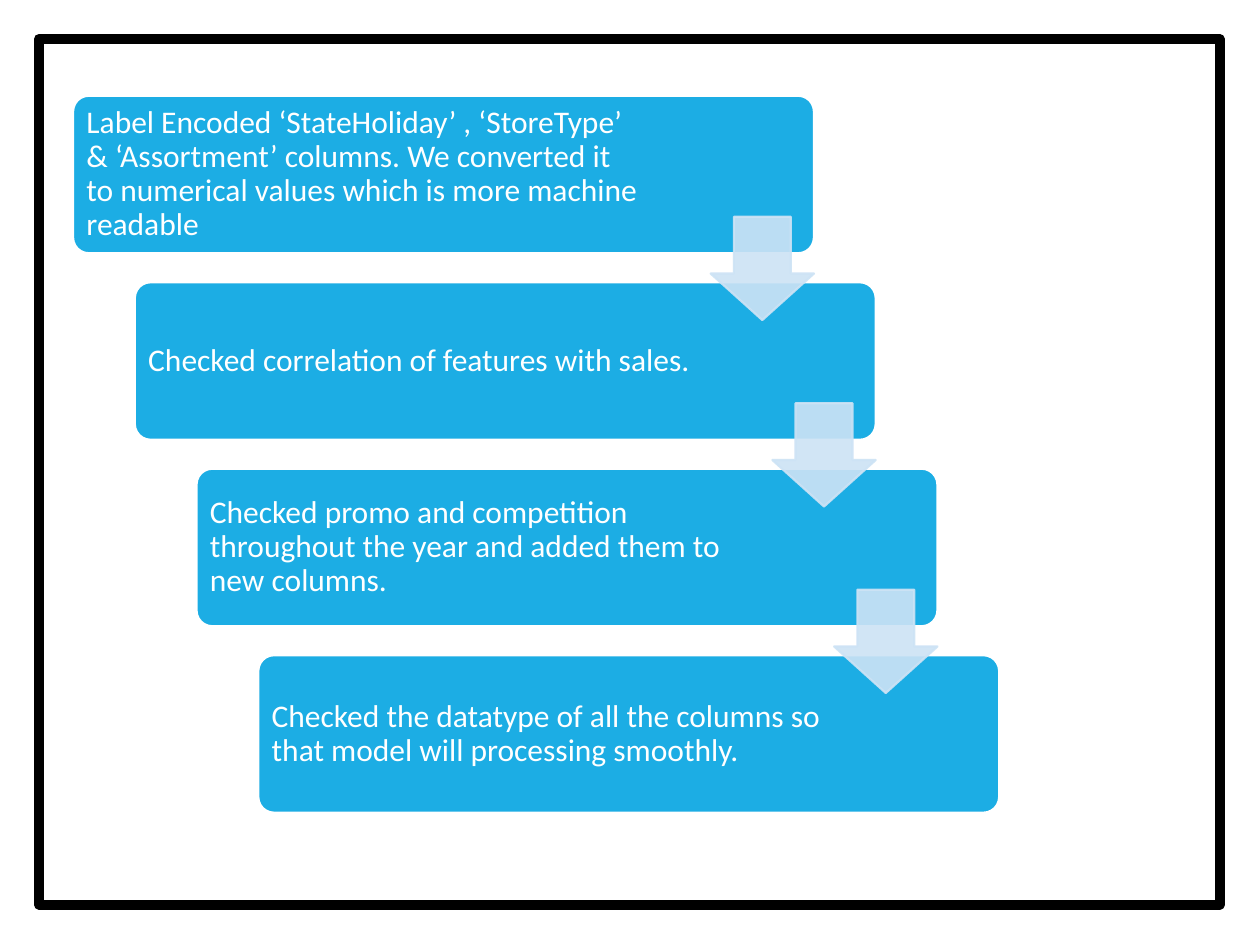
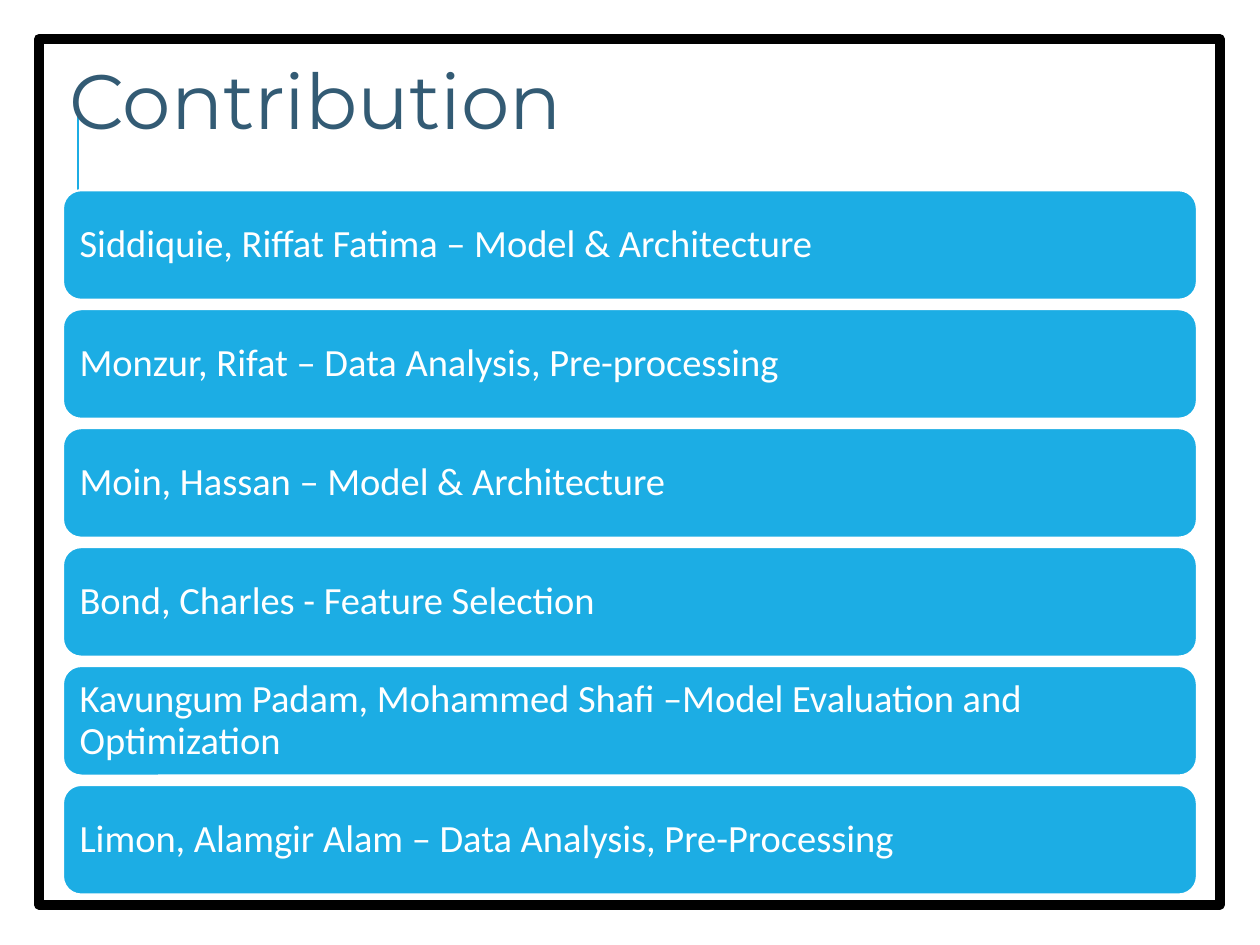
from dataclasses import dataclass

import pptx
import pptx.dml.color
import pptx.enum.shapes
import pptx.enum.text
import pptx.oxml
import pptx.oxml.ns
import pptx.util
from pptx.util import Inches

SHAPE = pptx.enum.shapes.MSO_SHAPE
ANCHOR = pptx.enum.text.MSO_ANCHOR
ALIGN = pptx.enum.text.PP_ALIGN
COLORS = {
    "accent": "1CADE4",
    "arrow": "CDE3F5",
    "frame": "000000",
    "title": "335B74",
    "white": "FFFFFF",
}
TITLE_ONLY, BLANK = 5, 6
STEPS = [
    "Label Encoded ‘StateHoliday’ , ‘StoreType’ & ‘Assortment’ columns. "
    "We converted it to numerical values which is more machine readable",
    "Checked correlation of features with sales.",
    "Checked promo and competition throughout the year and added them to new columns.",
    "Checked the datatype of all the columns so that model will processing smoothly.",
]
CONTRIBUTIONS = [
    "Siddiquie, Riffat Fatima – Model & Architecture",
    "Monzur, Rifat – Data Analysis, Pre-processing",
    "Moin, Hassan – Model & Architecture",
    "Bond, Charles - Feature Selection",
    "Kavungum Padam, Mohammed Shafi –Model Evaluation and Optimization",
    "Limon, Alamgir Alam – Data Analysis, Pre-Processing",
]


@dataclass(frozen=True)
class BoxRun:
    left: float
    top: float
    width: float
    height: float
    dx: float
    dy: float
    radius: float
    size: float
    inset: float
    right_inset: float


STAIRCASE = BoxRun(0.58, 0.76, 5.88, 1.25, 0.49, 1.48, 0.1, 18, 0.07, 1.35)
STACK = BoxRun(0.5, 1.51, 9, 0.87, 0, 0.944, 0.1667, 22, 0.09, 0.09)


def rgb(name: str) -> pptx.dml.color.RGBColor:
    return pptx.dml.color.RGBColor.from_string(COLORS[name])


def write(tf, text: str, *, size: float, font: str, color: str, anchor,
          insets: tuple, before: float = 0, after: float = 0) -> None:
    tf.word_wrap = True
    tf.auto_size = pptx.enum.text.MSO_AUTO_SIZE.NONE
    tf.vertical_anchor = anchor
    tf.margin_left, tf.margin_top, tf.margin_right, tf.margin_bottom = map(Inches, insets)
    p = tf.paragraphs[0]
    p.alignment = ALIGN.LEFT
    p.line_spacing = 0.9
    p.space_before, p.space_after = pptx.util.Pt(before), pptx.util.Pt(after)
    r = p.add_run()
    r.text = text
    r.font.size = pptx.util.Pt(size)
    r.font.name = font
    r.font.color.rgb = rgb(color)


def add_shape(slide, kind, at: tuple, *, line: str, weight: float, fill: str = ""):
    sp = slide.shapes.add_shape(kind, *map(Inches, at))
    sp.shadow.inherit = False
    if fill:
        sp.fill.solid()
        sp.fill.fore_color.rgb = rgb(fill)
    else:
        sp.fill.background()
    sp.line.color.rgb = rgb(line)
    sp.line.width = pptx.util.Pt(weight)
    return sp


def add_frame(slide) -> None:
    add_shape(slide, SHAPE.RECTANGLE, (0.31, 0.31, 9.37, 6.87), line="frame", weight=5.67)


def add_boxes(slide, run: BoxRun, texts: list[str]) -> None:
    for i, text in enumerate(texts):
        at = (run.left + i * run.dx, run.top + i * run.dy, run.width, run.height)
        sp = add_shape(slide, SHAPE.ROUNDED_RECTANGLE, at, fill="accent", line="white", weight=1.25)
        sp.adjustments[0] = run.radius
        write(sp.text_frame, text, size=run.size, font="Calibri", color="white",
              anchor=ANCHOR.MIDDLE, insets=(run.inset, run.inset, run.right_inset, run.inset))


def add_arrows(slide, run: BoxRun, count: int) -> None:
    side = 0.82
    for i in range(count):
        at = (run.left + run.width - side + i * run.dx, 1.72 + i * run.dy, side, side)
        sp = add_shape(slide, SHAPE.DOWN_ARROW, at, fill="arrow", line="arrow", weight=1.25)
        sp.adjustments[0], sp.adjustments[1] = 0.55, 0.45
        for clr in sp._element.spPr.iter(pptx.oxml.ns.qn("a:srgbClr")):
            clr.append(pptx.oxml.parse_xml(
                f'<a:alpha {pptx.oxml.ns.nsdecls("a")} val="90000"/>'))


def add_title_rule(slide) -> None:
    x = Inches(0.62)
    cxn = slide.shapes.add_connector(
        pptx.enum.shapes.MSO_CONNECTOR.STRAIGHT, x, Inches(1.9), x, Inches(0.9))
    cxn.line.color.rgb = rgb("accent")
    cxn.line.width = pptx.util.Pt(1.5)
    cxn._element.spPr.append(pptx.oxml.parse_xml(
        f'<a:effectLst {pptx.oxml.ns.nsdecls("a")}/>'))


def set_title(slide, text: str) -> None:
    sp = slide.shapes.title
    sp.left, sp.top, sp.width, sp.height = map(Inches, (0.5, 0.45, 9, 0.87))
    write(sp.text_frame, text, size=44, font="Montserrat", color="title",
          anchor=ANCHOR.TOP, insets=(0.05,) * 4, before=12, after=2)
    slide.shapes._spTree.append(sp._element)


def build_steps(prs) -> None:
    slide = prs.slides.add_slide(prs.slide_layouts[BLANK])
    add_frame(slide)
    add_boxes(slide, STAIRCASE, STEPS)
    add_arrows(slide, STAIRCASE, len(STEPS) - 1)


def build_contribution(prs) -> None:
    slide = prs.slides.add_slide(prs.slide_layouts[TITLE_ONLY])
    add_title_rule(slide)
    add_frame(slide)
    add_boxes(slide, STACK, CONTRIBUTIONS)
    set_title(slide, "Contribution")


def main() -> None:
    prs = pptx.Presentation()
    prs.slide_width, prs.slide_height = Inches(10), Inches(7.5)
    build_steps(prs)
    build_contribution(prs)
    prs.save("out.pptx")


if __name__ == "__main__":
    main()
